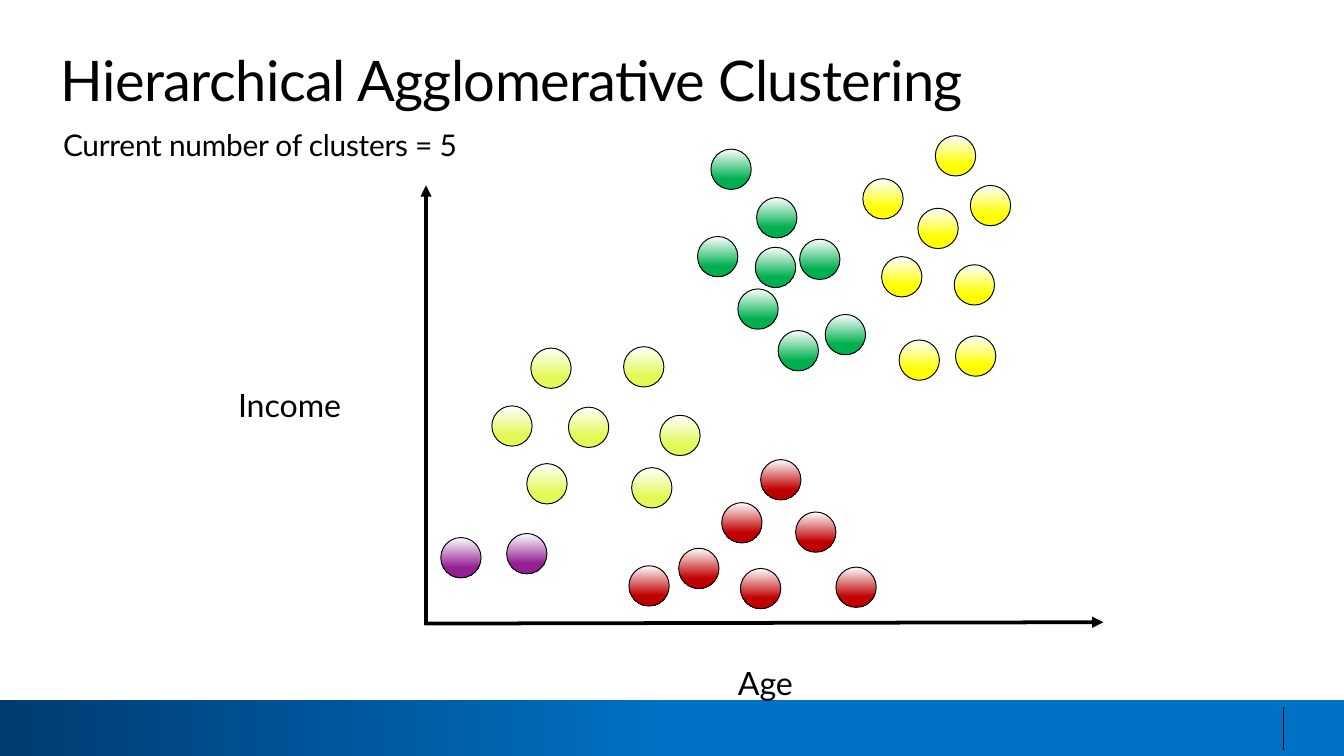
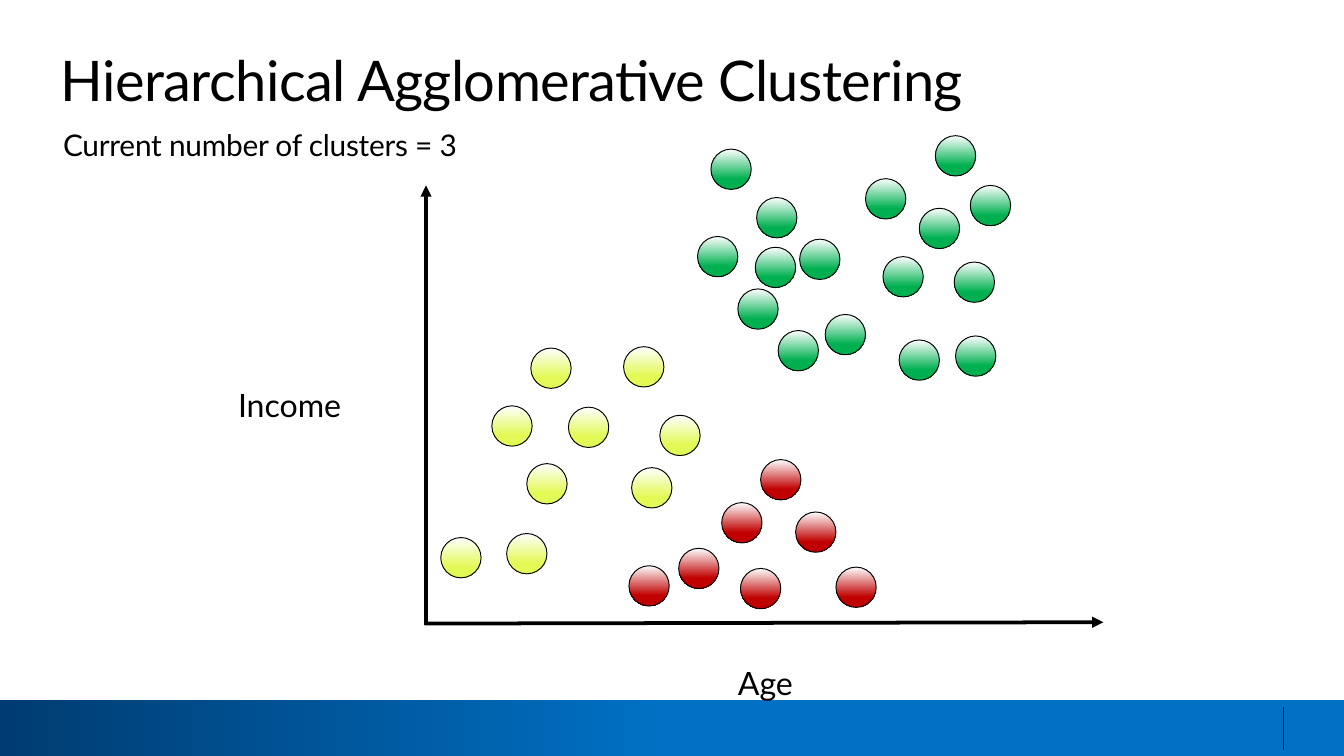
"""Build two slides showing hierarchical agglomerative clustering at five and three clusters."""
import dataclasses

import lxml.etree
import pptx
import pptx.dml.color
import pptx.enum.shapes
import pptx.enum.text
import pptx.oxml.ns
import pptx.util

Inches = pptx.util.Inches
Pt = pptx.util.Pt
RGB = pptx.dml.color.RGBColor.from_string
ALIGN = pptx.enum.text.PP_ALIGN
SHAPE = pptx.enum.shapes.MSO_SHAPE


@dataclasses.dataclass(frozen=True)
class Theme:
    font: str = "Lato"
    ink: str = "000000"
    band_dark: str = "003C71"
    band_blue: str = "0071C5"
    highlight: str = "FEFFFF"
    lime: str = "E3F956"
    yellow: str = "FFFF00"
    green: str = "00B050"
    red: str = "C00000"
    purple: str = "942093"
    title_size: float = 30
    subtitle_size: float = 16
    axis_size: float = 17.2


theme = Theme()
DOT_SIZE = 0.3

LOWER_LEFT = [(3.28, 4), (3.77, 3.97)]
MIDDLE_LEFT = [(4.91, 3.09), (4.7, 3.48), (3.92, 3.45), (3.66, 3.02),
               (3.95, 2.59), (4.23, 3.03), (4.64, 2.58)]
LOWER_RIGHT = [(5.66, 3.42), (5.92, 3.81), (6.22, 4.22), (4.68, 4.21),
               (5.05, 4.08), (5.37, 3.74), (5.51, 4.23)]
UPPER_MIDDLE = [(5.79, 2.46), (6.14, 2.34), (5.29, 1.11), (5.19, 1.76),
                (5.63, 1.47), (5.62, 1.84), (5.49, 2.15), (5.95, 1.78)]
UPPER_RIGHT = [(6.69, 2.53), (7.11, 2.5), (6.96, 1.01), (7.22, 1.38)]
UPPER_RIGHT_FIVE = UPPER_RIGHT + [(7.1, 1.97), (6.56, 1.91), (6.83, 1.55), (6.42, 1.33)]
UPPER_RIGHT_THREE = UPPER_RIGHT + [(7.1, 1.95), (6.57, 1.91), (6.84, 1.55), (6.44, 1.33)]

STAGES = [
    [(theme.lime, MIDDLE_LEFT), (theme.yellow, UPPER_RIGHT_FIVE),
     (theme.green, UPPER_MIDDLE), (theme.red, LOWER_RIGHT), (theme.purple, LOWER_LEFT)],
    [(theme.lime, MIDDLE_LEFT + LOWER_LEFT),
     (theme.green, UPPER_MIDDLE + UPPER_RIGHT_THREE), (theme.red, LOWER_RIGHT)],
]

LINES = [
    ((9.55, 5.26), (9.55, 5.58), 0.75, False),
    ((3.17, 4.65), (3.17, 1.38), 2, True),
    ((3.16, 4.64), (8.21, 4.63), 2, True),
]


def add_gradient_shape(page, kind, frame, colors, end_position, angle):
    """Add a shape with a two-stop gradient and return it."""
    shape = page.shapes.add_shape(kind, *frame)
    shape.shadow.inherit = False
    shape.fill.gradient()
    shape.fill.gradient_angle = angle
    for stop, color, position in zip(shape.fill.gradient_stops, colors, (0, end_position)):
        stop.color.rgb = RGB(color)
        stop.position = position
    return shape


def write_text(box, frame, text, size, align=ALIGN.LEFT, line_spacing=1.0, tracking=0):
    """Place a text shape and fill it with one formatted paragraph."""
    box.left, box.top, box.width, box.height = (Inches(value) for value in frame)
    text_frame = box.text_frame
    text_frame.word_wrap = True
    text_frame.auto_size = pptx.enum.text.MSO_AUTO_SIZE.SHAPE_TO_FIT_TEXT
    text_frame.vertical_anchor = pptx.enum.text.MSO_ANCHOR.TOP
    text_frame.margin_left = text_frame.margin_right = 0
    text_frame.margin_top = text_frame.margin_bottom = 0
    para = text_frame.paragraphs[0]
    para.alignment = align
    para.line_spacing = line_spacing
    para.font.name = theme.font
    para.font.size = Pt(size)
    para.font.color.rgb = RGB(theme.ink)
    properties = para._p.get_or_add_pPr()
    properties.set("marL", str(Inches(0.01)))
    properties.set("indent", "0")
    span = para.add_run()
    span.text = text
    if tracking:
        span._r.get_or_add_rPr().set("spc", str(tracking))


deck = pptx.Presentation()
deck.slide_width = Inches(10)
deck.slide_height = deck.slide_width * 9 // 16

for clusters in STAGES:
    page = deck.slides.add_slide(deck.slide_layouts[5])
    band_top = Inches(5.21)
    band_frame = (0, band_top, deck.slide_width, deck.slide_height - band_top)
    band = add_gradient_shape(page, SHAPE.RECTANGLE, band_frame,
                              (theme.band_dark, theme.band_blue), 0.5, 0)
    band.line.fill.background()

    for start, end, width, has_arrow in LINES:
        connector = page.shapes.add_connector(
            pptx.enum.shapes.MSO_CONNECTOR.STRAIGHT,
            *(Inches(value) for value in start + end))
        connector.line.color.rgb = RGB(theme.ink)
        connector.line.width = Pt(width)
        if has_arrow:
            arrow = lxml.etree.SubElement(
                connector.line._get_or_add_ln(), pptx.oxml.ns.qn("a:tailEnd"))
            arrow.set("type", "triangle")
        lxml.etree.SubElement(connector._element.spPr, pptx.oxml.ns.qn("a:effectLst"))

    for color, positions in clusters:
        for left, top in positions:
            dot_frame = [Inches(value) for value in (left, top, DOT_SIZE, DOT_SIZE)]
            dot = add_gradient_shape(page, SHAPE.OVAL, dot_frame, (theme.highlight, color),
                                     0.73 if color == theme.lime else 0.74, 270)
            dot.line.color.rgb = RGB(theme.ink)
            dot.line.width = Pt(0.5)

    write_text(page.shapes.title, (0.44, 0.34, 9.23, 0.5),
               "Hierarchical Agglomerative Clustering", theme.title_size, tracking=-30)
    subtitle = page.shapes.add_textbox(0, 0, 0, 0)
    write_text(subtitle, (0.46, 0.81, 5.47, 0.4),
               f"Current number of clusters = {len(clusters)}", theme.subtitle_size,
               line_spacing=1.5, tracking=-10)
    for label, frame in (("Age", (3.88, 4.83, 3.62, 0.38)), ("Income", (1.62, 2.76, 1.06, 0.38))):
        axis_label = page.shapes.add_textbox(0, 0, 0, 0)
        write_text(axis_label, frame, label, theme.axis_size, ALIGN.CENTER, Pt(28.5))

deck.save("out.pptx")
